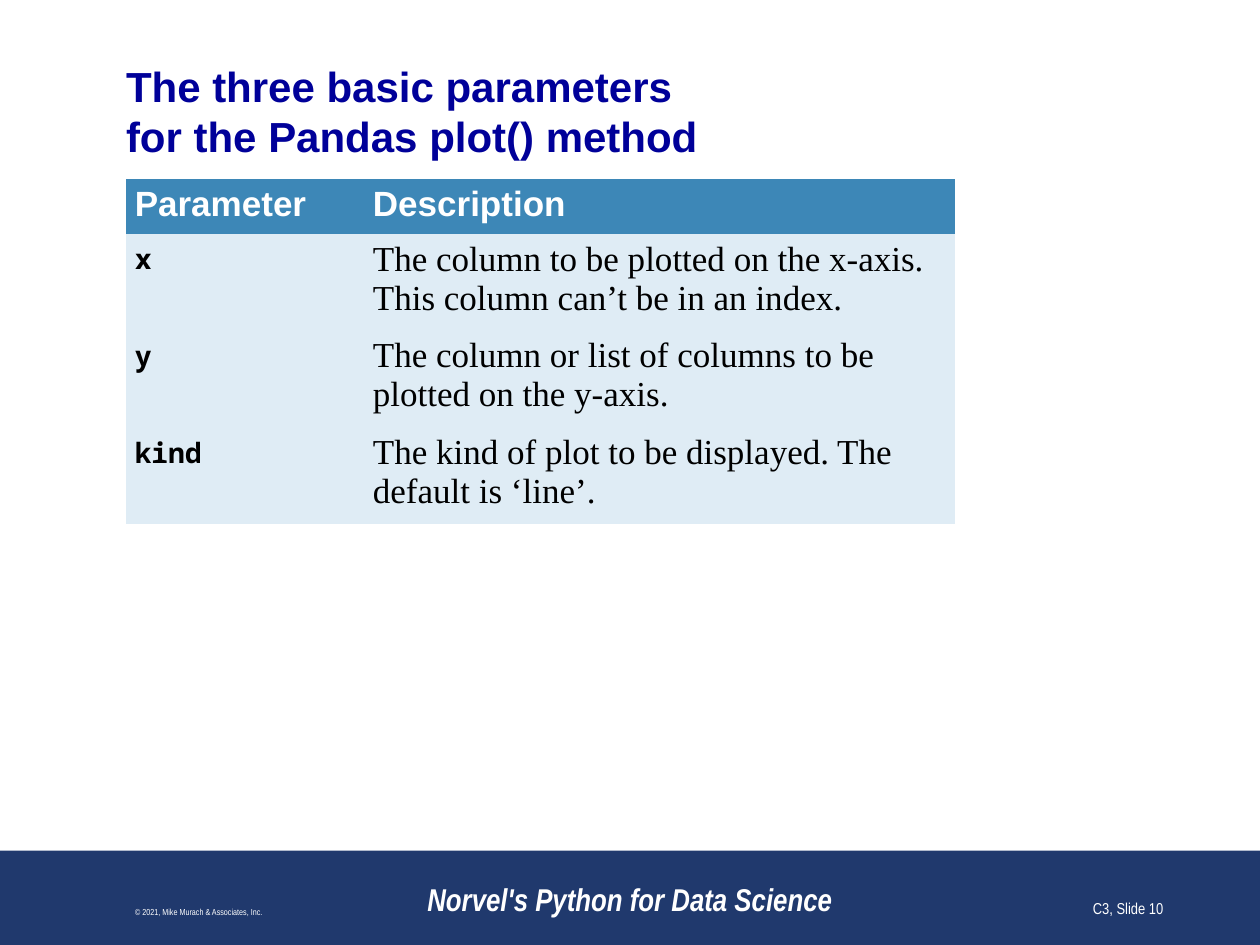
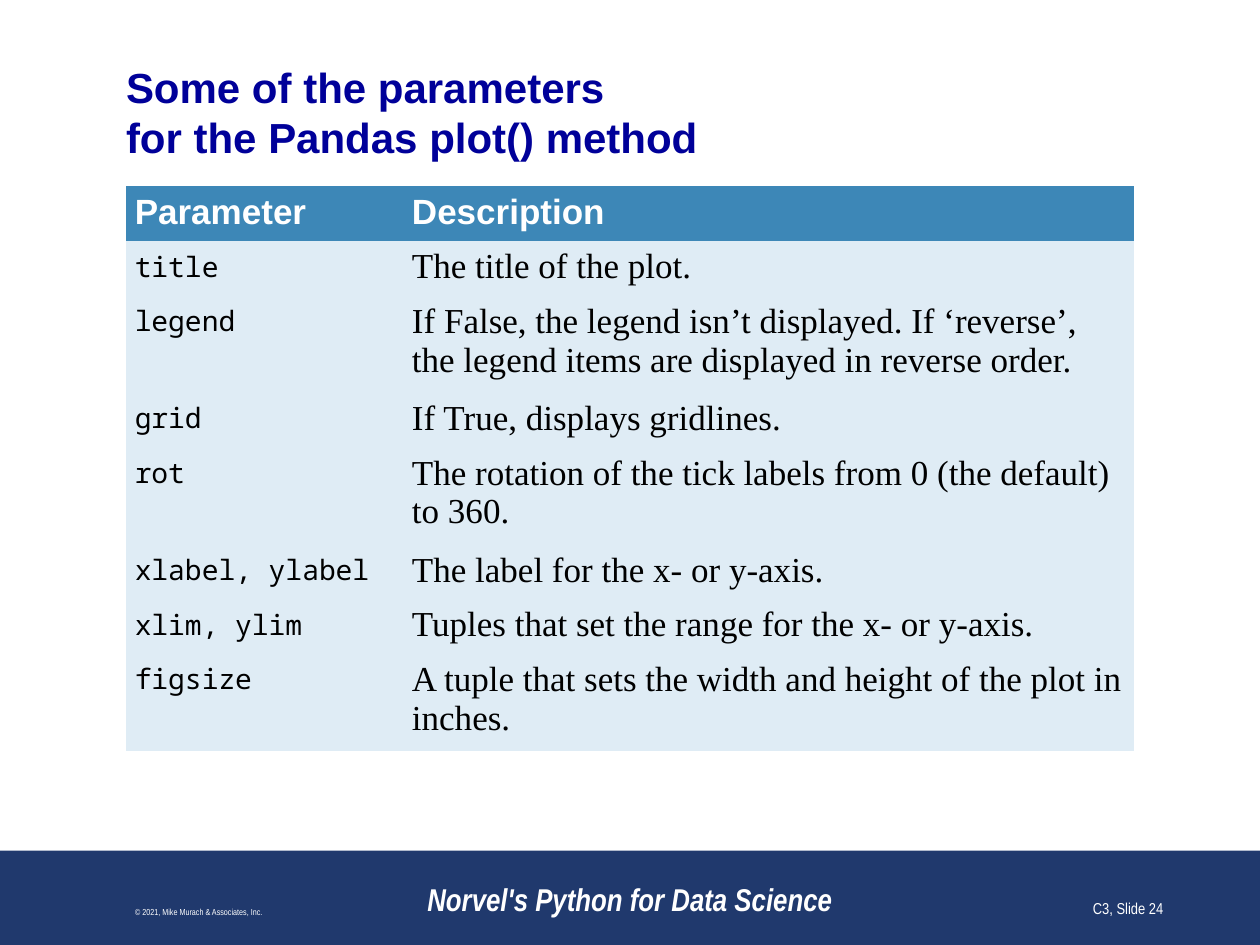
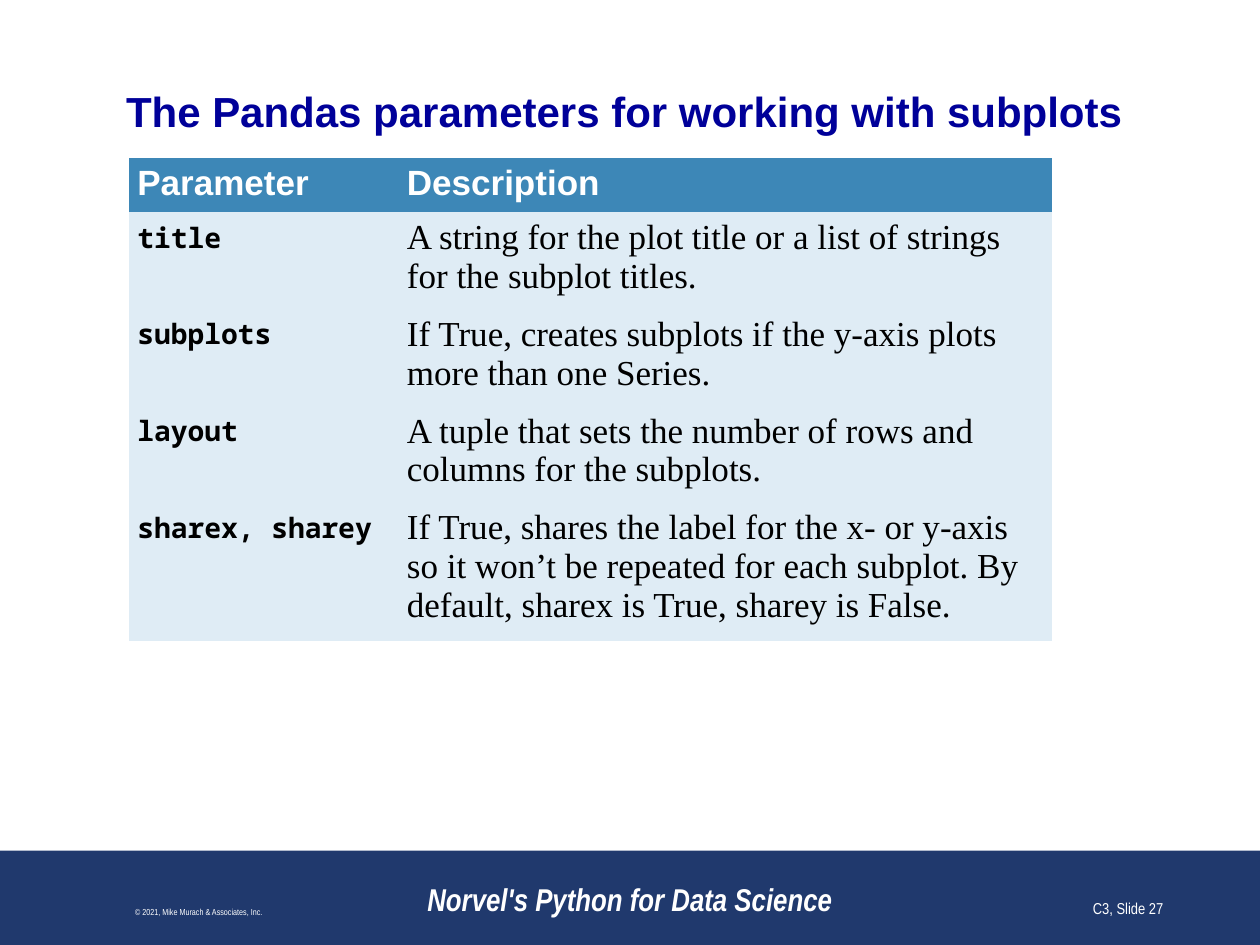
from copy import deepcopy
from pptx import Presentation
from pptx.dml.color import RGBColor
from pptx.enum.shapes import MSO_SHAPE
from pptx.enum.text import MSO_ANCHOR, MSO_AUTO_SIZE, PP_ALIGN
from pptx.util import Inches, Pt

# Content: each row is name, description, number of text lines
SLIDES = [
    {
        "number": 10,
        "title": ["The three basic parameters", "for the Pandas plot() method"],
        "title_box": (1, 0.68, 8, 0.4),
        "table_at": (1, 1.42), "cols": (1.89, 4.69),
        "row_height": 0.41, "extra_line": 0.31, "bold_names": True,
        "rows": [
            ("x", "The column to be plotted on the x-axis. This column can’t be in an index.", 2),
            ("y", "The column or list of columns to be plotted on the y-axis.", 2),
            ("kind", "The kind of plot to be displayed. The default is ‘line’.", 2),
        ],
    },
    {
        "number": 24,
        "title": ["Some of the parameters", "for the Pandas plot() method"],
        "title_box": (1, 0.48, 8, 0.81),
        "table_at": (1, 1.48), "cols": (2.2, 5.8),
        "row_height": 0.43, "extra_line": 0.34, "bold_names": False,
        "rows": [
            ("title", "The title of the plot.", 1),
            ("legend", "If False, the legend isn’t displayed. If ‘reverse’, "
                       "the legend items are displayed in reverse order.", 2),
            ("grid", "If True, displays gridlines.", 1),
            ("rot", "The rotation of the tick labels from 0 (the default) to 360.", 2),
            ("xlabel, ylabel", "The label for the x- or y-axis.", 1),
            ("xlim, ylim", "Tuples that set the range for the x- or y-axis.", 1),
            ("figsize", "A tuple that sets the width and height of the plot in inches.", 2),
        ],
    },
    {
        "number": 27,
        "title": ["The Pandas parameters for working with subplots"],
        "title_box": (1, 0.68, 8, 0.4),
        "table_at": (1.02, 1.25), "cols": (2.14, 5.19),
        "row_height": 0.41, "extra_line": 0.31, "bold_names": True,
        "rows": [
            ("title", "A string for the plot title or a list of strings for the subplot titles.", 2),
            ("subplots", "If True, creates subplots if the y-axis plots more than one Series.", 2),
            ("layout", "A tuple that sets the number of rows and columns for the subplots.", 2),
            ("sharex, sharey", "If True, shares the label for the x- or y-axis so it won’t be repeated "
                               "for each subplot. By default, sharex is True, sharey is False.", 3),
        ],
    },
]
HEADER = ("Parameter", "Description", 1)
BOOK = "Norvel's Python for Data Science"
COPYRIGHT = "© 2021, Mike Murach & Associates, Inc."

# Shared look
COLORS = {"title": "000099", "band": "20396D", "header": "3D87B7",
          "body": "DFECF5", "light": "FFFFFF", "text": "000000"}
NO_GRID_STYLE = "{2D5ABB26-0587-4C30-8999-92F81FD0307C}"


def color(name):
    return RGBColor.from_string(COLORS[name])


def add_run(p, text, size, font, fill, bold=False, italic=False):
    r = p.add_run()
    r.text = text
    r.font.size, r.font.name = Pt(size), font
    r.font.bold, r.font.italic = bold, italic
    r.font.color.rgb = color(fill)
    return r


def add_title(s, lines, box):
    sp = s.shapes.title
    sp.left, sp.top, sp.width, sp.height = map(Inches, box)
    tf = sp.text_frame
    tf.margin_left = tf.margin_right = tf.margin_top = tf.margin_bottom = 0
    tf.vertical_anchor = MSO_ANCHOR.MIDDLE
    tf.word_wrap = True
    tf.auto_size = MSO_AUTO_SIZE.SHAPE_TO_FIT_TEXT
    p = tf.paragraphs[0]
    p.alignment = PP_ALIGN.LEFT
    p.space_before, p.space_after = Pt(0), Pt(6)
    for i, line in enumerate(lines):
        if i:
            p.add_line_break()
            # The break takes the size of the line before it
            p._p[-1].append(deepcopy(r._r.rPr))
        r = add_run(p, line, 24, "Arial", "title", bold=True)


def add_parameters(s, data):
    rows = [HEADER] + data["rows"]
    heights = [data["row_height"] + data["extra_line"] * (row[2] - 1) for row in rows]
    box = (*data["table_at"], sum(data["cols"]), sum(heights))
    frame = s.shapes.add_table(len(rows), 2, *map(Inches, box))
    table = frame.table
    table.first_row = table.horz_banding = False
    table._tbl.tblPr[0].text = NO_GRID_STYLE
    for column, width in zip(table.columns, data["cols"]):
        column.width = Inches(width)

    header = (20, "Arial", "light", True)
    body = [(16, "Noto Sans Mono", "text", data["bold_names"]),
            (20, "Times New Roman", "text", False)]
    for i, (row, height) in enumerate(zip(rows, heights)):
        table.rows[i].height = Inches(height)
        for j, text in enumerate(row[:2]):
            cell = table.cell(i, j)
            cell.margin_left = cell.margin_right = Inches(0.07)
            cell.margin_top = cell.margin_bottom = Inches(0.05)
            cell.fill.solid()
            cell.fill.fore_color.rgb = color("body" if i else "header")
            p = cell.text_frame.paragraphs[0]
            p.space_after = Pt(6)
            add_run(p, text, *(body[j] if i else header))


def add_footer(s, number):
    band = s.shapes.add_shape(MSO_SHAPE.RECTANGLE, 0, Inches(6.75), Inches(10), Inches(0.75))
    band.shadow.inherit = False
    band.fill.solid()
    band.fill.fore_color.rgb = color("band")
    band.line.fill.background()
    # Left, width, alignment, text, size, emphasis
    footers = [
        (3, 4, PP_ALIGN.CENTER, BOOK, 18, True),
        (0.08, 3, PP_ALIGN.CENTER, COPYRIGHT, 5, False),
        (7.25, 2.08, PP_ALIGN.RIGHT, f"C3, Slide {number}", 9, False),
    ]
    for left, width, align, text, size, strong in footers:
        sp = s.shapes.add_textbox(Inches(left), Inches(6.83), Inches(width), Inches(0.5))
        tf = sp.text_frame
        tf.word_wrap = True
        tf.vertical_anchor = MSO_ANCHOR.BOTTOM
        p = tf.paragraphs[0]
        p.alignment = align
        add_run(p, text, size, "Arial Narrow", "light", strong, strong)


def main():
    prs = Presentation()
    prs.slide_width, prs.slide_height = Inches(10), Inches(7.5)
    for data in SLIDES:
        s = prs.slides.add_slide(prs.slide_layouts[5])
        add_footer(s, data["number"])
        add_title(s, data["title"], data["title_box"])
        add_parameters(s, data)
    prs.save("out.pptx")


if __name__ == "__main__":
    main()
